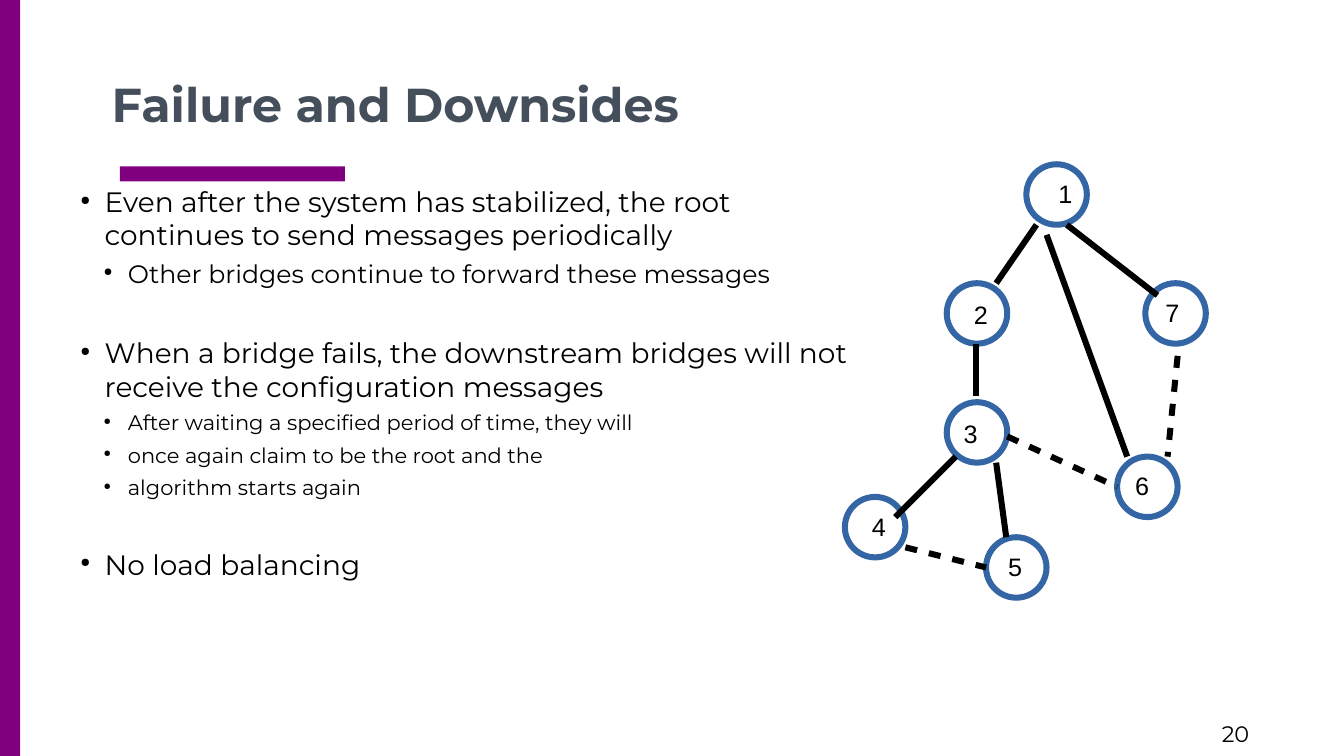
"""Build the slide on spanning tree failures, with a bridge network diagram."""
from lxml.etree import SubElement
from pptx import Presentation
from pptx.dml.color import RGBColor
from pptx.enum.shapes import MSO_CONNECTOR, MSO_SHAPE
from pptx.enum.text import MSO_ANCHOR
from pptx.oxml.ns import qn
from pptx.util import Inches, Pt

PURPLE = RGBColor(0x80, 0x00, 0x80)
SLATE = RGBColor(0x45, 0x4F, 0x5B)
BLUE = RGBColor(0x34, 0x65, 0xA4)
BLACK = RGBColor(0x00, 0x00, 0x00)
CELL = Inches(0.1)
NODE = 6
STROKE = Pt(4.31)


def grid(*cells):
    return [round(c * CELL) for c in cells]


def add_text(box, lines, font, color, wrap=True, bold=False, inset=0.05):
    tf = s.shapes.add_textbox(*grid(*box)).text_frame
    frame = {"word_wrap": wrap, "margin_top": Inches(inset), "margin_bottom": Inches(inset)}
    for name, value in frame.items():
        setattr(tf, name, value)
    for i, (text, size) in enumerate(lines):
        p = tf.paragraphs[0] if i == 0 else tf.add_paragraph()
        p.text = text
        for r in p.runs:
            for name, value in {"name": font, "size": Pt(size), "bold": bold}.items():
                setattr(r.font, name, value)
            r.font.color.rgb = color
    return tf


prs = Presentation()
prs.slide_width, prs.slide_height = grid(133.3, 75)
s = prs.slides.add_slide(prs.slide_layouts[6])

for bar in [(11.9, 16.5, 22.3, 1.5), (0, 0, 2, 75)]:
    sp = s.shapes.add_shape(MSO_SHAPE.RECTANGLE, *grid(*bar))
    sp.shadow.inherit = False
    sp.fill.solid()
    sp.fill.fore_color.rgb = PURPLE
    sp.line.fill.background()

add_text((120.2, 71, 13, 4), [("20", 16)], "Montserrat", BLACK)
title = add_text((10.1, 0, 113.1, 14.1), [("Failure and Downsides", 34)],
                 "Montserrat", SLATE, bold=True, inset=0.1)
title.vertical_anchor = MSO_ANCHOR.BOTTOM

bullets = [
    ("Even after the system has stabilized, the root\vcontinues to send messages periodically", 20, 0.71, 0),
    ("Other bridges continue to forward these messages", 18, 0.94, 4.5),
    ("When a bridge fails, the downstream bridges will not\vreceive the configuration messages", 20, 0.71, 34),
    ("After waiting a specified period of time, they will", 15, 0.94, 5),
    ("once again claim to be the root and the", 15, 0.94, 5),
    ("algorithm starts again", 15, 0.94, 5),
    ("No load balancing", 20, 0.71, 34),
]
body = add_text((2.3, 17.8, 123.7, 55.4), [b[:2] for b in bullets], "Montserrat", BLACK)
for p, (_, _, indent, before) in zip(body.paragraphs, bullets):
    pPr = p._p.get_or_add_pPr()
    pPr.set("marL", str(Inches(indent)))
    pPr.set("indent", str(Inches(-0.24)))
    SubElement(SubElement(pPr, qn("a:buClr")), qn("a:srgbClr"), val=str(BLACK))
    SubElement(pPr, qn("a:buSzPct"), val="45000")
    SubElement(pPr, qn("a:buChar"), char="●")
    p.space_before = Pt(before)

nodes = {
    "1": (101.8, 16.3, 2.2, 0.9),
    "2": (93.9, 28.1, 1.7, 1.1),
    "3": (93.9, 39.9, 0.7, 1.1),
    "4": (83.8, 49.3, 1.7, 0.9),
    "5": (97.8, 53.3, 1.2, 0.9),
    "6": (110.8, 45.3, 0.8, 0.9),
    "7": (113.6, 28.1, 1, 0.9),
}
for x, y, _, _ in nodes.values():
    sp = s.shapes.add_shape(MSO_SHAPE.OVAL, *grid(x, y, NODE, NODE))
    sp.shadow.inherit = False
    sp.fill.background()
    sp.line.color.rgb = BLUE
    sp.line.width = STROKE

links = [
    (102.8, 22.3, 98.8, 28.1, False),
    (105.8, 22.3, 114.8, 29.3, False),
    (103.8, 23.3, 111.8, 45.3, False),
    (96.8, 34.1, 96.8, 39.3, False),
    (99.9, 43.3, 110.8, 48.3, True),
    (116.8, 35.3, 115.8, 45.3, True),
    (94.8, 45.3, 88.8, 51.3, False),
    (89.8, 54.3, 97.8, 56.3, True),
    (98.8, 45.9, 99.8, 53.3, False),
]
for *ends, blocked in links:
    link = s.shapes.add_connector(MSO_CONNECTOR.STRAIGHT, *grid(*ends))
    link.line.color.rgb = BLACK
    link.line.width = STROKE
    if blocked:
        dash = SubElement(link.line._get_or_add_ln(), qn("a:custDash"))
        SubElement(dash, qn("a:ds"), d="200000", sp="200000")
    SubElement(link._element.spPr, qn("a:effectLst"))

for label, (x, y, dx, dy) in nodes.items():
    add_text((x + dx, y + dy, 3.4, 3.8), [(label, 18)], "Arial", BLACK, wrap=False)

prs.save("out.pptx")
